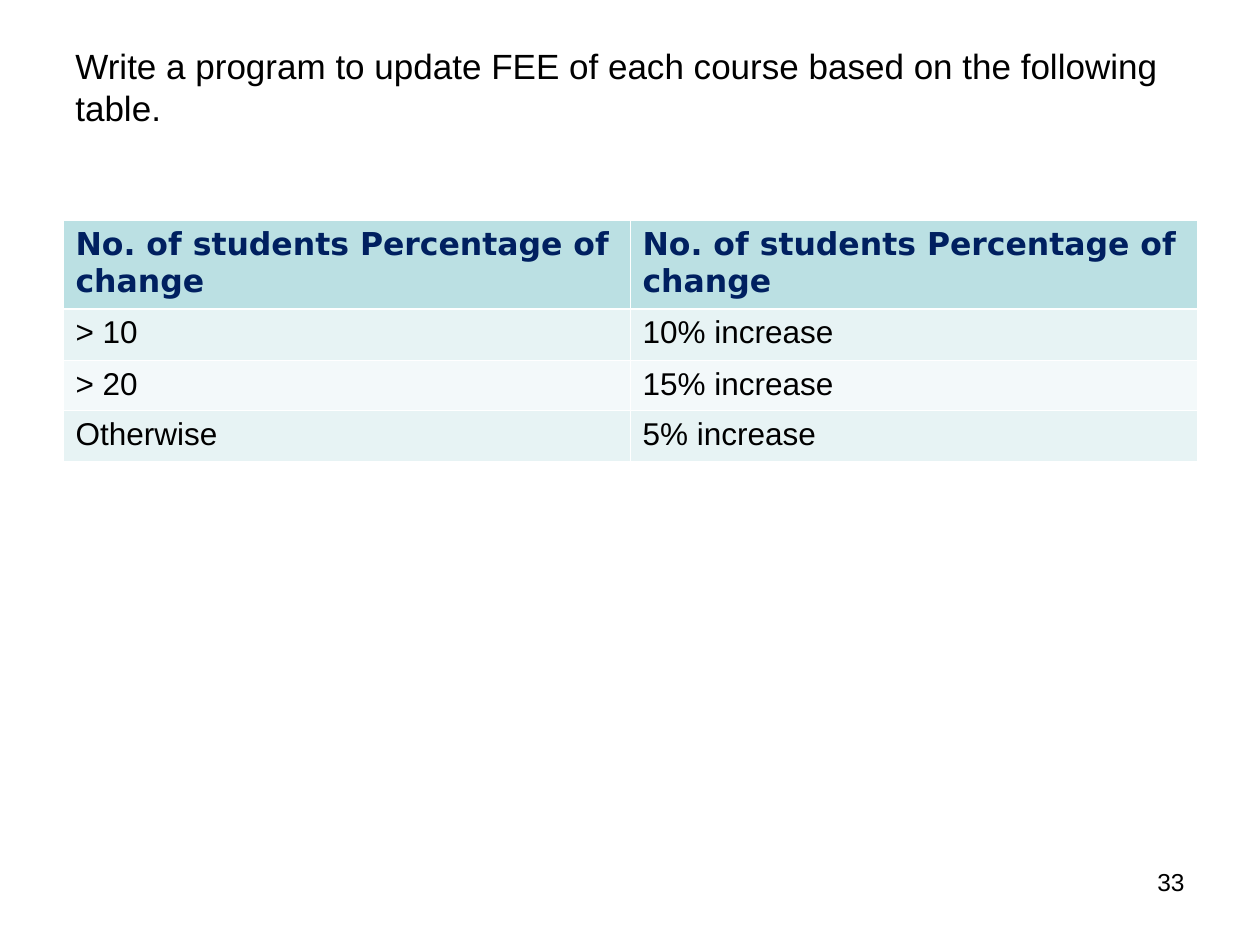
from lxml import etree
from pptx import Presentation
from pptx.dml.color import RGBColor
from pptx.enum.text import MSO_ANCHOR, PP_ALIGN
from pptx.oxml.ns import qn
from pptx.util import Inches, Pt

LEFT, RIGHT = PP_ALIGN.LEFT, PP_ALIGN.RIGHT
TOP, MIDDLE = MSO_ANCHOR.TOP, MSO_ANCHOR.MIDDLE

COLORS = {
    "text": "000000",
    "header_text": "002060",
    "header": "BBE0E3",
    "odd_row": "E7F3F4",
    "even_row": "F3F9FA",
    "border": "FFFFFF",
}
THIN, THICK = 0.45, 1.47
ROW_HEIGHTS = [0.7, 0.41, 0.4, 0.4]
HEADING = "No. of students Percentage of change"
FEE_ROWS = [
    (HEADING, HEADING),
    ("> 10", "10% increase"),
    ("> 20", "15% increase"),
    ("Otherwise", "5% increase"),
]


def write_text(tf, text, size=18, font="Arial", color="text", bold=False, align=LEFT):
    p = tf.paragraphs[0]
    p.alignment = align
    r = p.add_run()
    r.text = text
    r.font.size = Pt(size)
    r.font.name = font
    r.font.bold = bold
    r.font.color.rgb = RGBColor.from_string(COLORS[color])


def add_text(slide, text, left, top, width, height, anchor=TOP, **fmt):
    box = slide.shapes.add_textbox(Inches(left), Inches(top), Inches(width), Inches(height))
    tf = box.text_frame
    tf.word_wrap = True
    tf.vertical_anchor = anchor
    write_text(tf, text, **fmt)


def set_borders(cell, **widths):
    """Draw the cell's edges; widths in points are keyed L, R, T and B."""
    tcPr = cell._tc.get_or_add_tcPr()
    for i, side in enumerate("LRTB"):
        ln = etree.Element(qn(f"a:ln{side}"), w=str(int(Pt(widths.get(side, THIN)))))
        fill = etree.SubElement(ln, qn("a:solidFill"))
        etree.SubElement(fill, qn("a:srgbClr"), val=COLORS["border"])
        tcPr.insert(i, ln)


def add_fee_table(slide):
    table = slide.shapes.add_table(
        len(FEE_ROWS), 2, Inches(0.5), Inches(1.75), Inches(9), Inches(sum(ROW_HEIGHTS))
    ).table
    for i, (height, texts) in enumerate(zip(ROW_HEIGHTS, FEE_ROWS)):
        table.rows[i].height = Inches(height)
        if i == 0:
            fill, edges = "header", {"B": THICK}
            fmt = {"font": "DejaVu Sans", "color": "header_text", "bold": True}
        else:
            fill = "odd_row" if i % 2 else "even_row"
            edges = {"T": THICK} if i == 1 else {}
            fmt = {}
        for j, text in enumerate(texts):
            cell = table.cell(i, j)
            cell.fill.solid()
            cell.fill.fore_color.rgb = RGBColor.from_string(COLORS[fill])
            set_borders(cell, **edges)
            write_text(cell.text_frame, text, **fmt)


def main():
    prs = Presentation()
    prs.slide_width, prs.slide_height = Inches(10), Inches(7.5)
    slide = prs.slides.add_slide(prs.slide_layouts[6])
    add_text(slide, "Write a program to update FEE of each course based on the following table.",
             0.5, 0.3, 9, 0.78, anchor=MIDDLE, size=20)
    add_fee_table(slide)
    add_text(slide, "33", 7.17, 6.83, 2.33, 0.52, size=14, align=RIGHT)
    prs.save("out.pptx")


if __name__ == "__main__":
    main()
